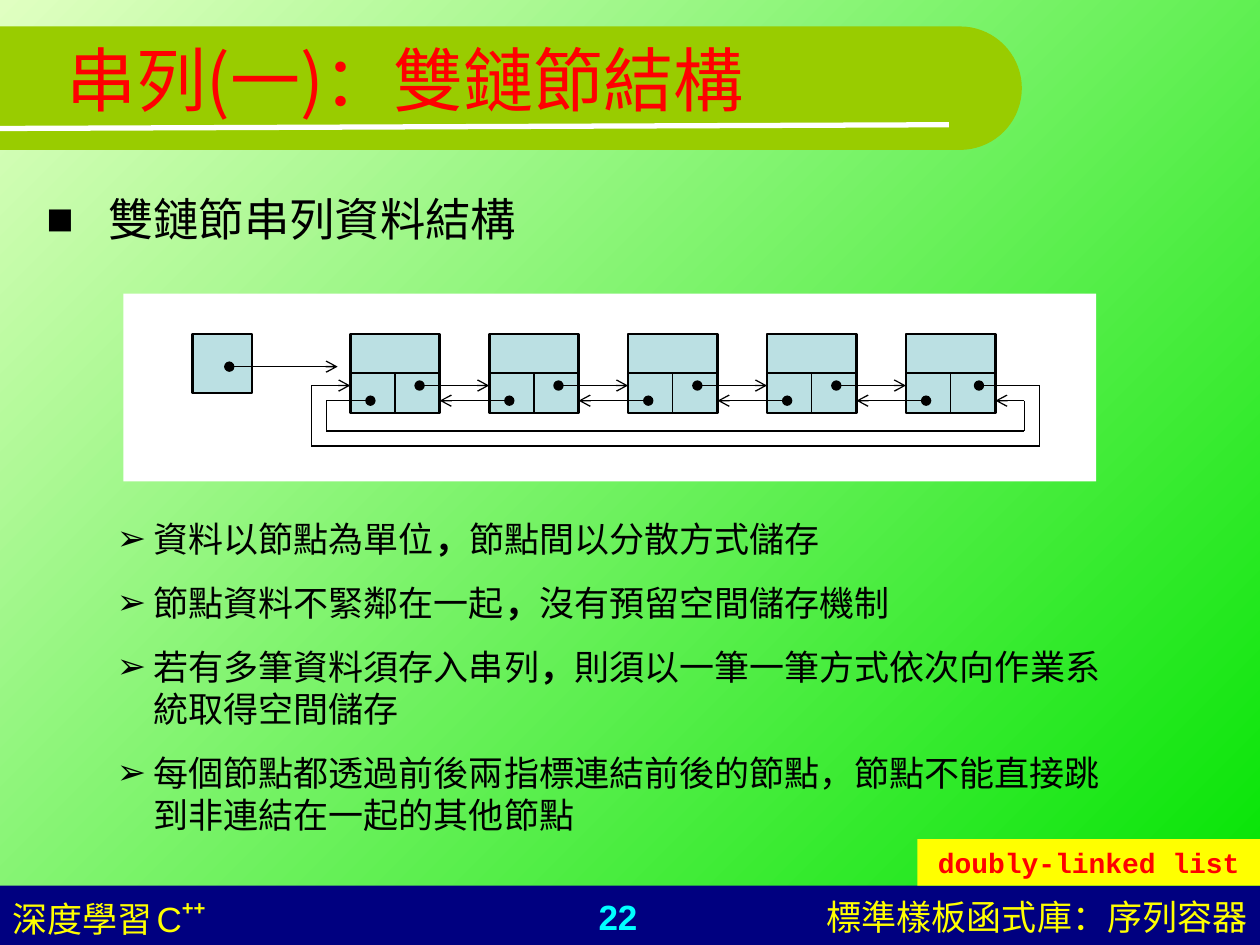
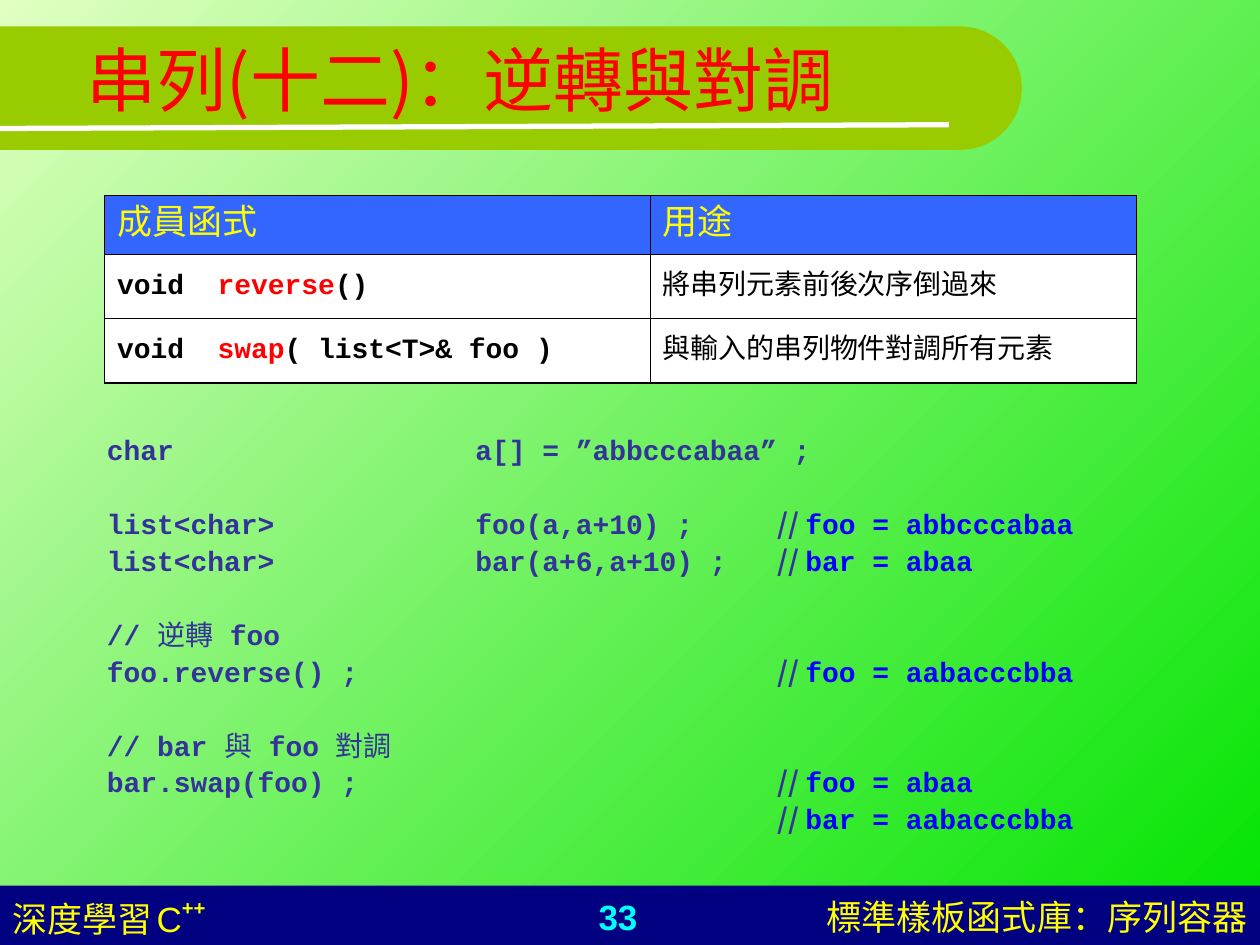
from dataclasses import dataclass
from itertools import pairwise
from math import cos, pi, sin

from lxml.etree import SubElement
from pptx import Presentation
from pptx.dml.color import RGBColor
from pptx.enum.shapes import MSO_CONNECTOR, MSO_SHAPE
from pptx.enum.text import MSO_ANCHOR, MSO_AUTO_SIZE, PP_ALIGN
from pptx.oxml.ns import qn
from pptx.util import Inches, Pt


@dataclass(frozen=True)
class Theme:
    # Colours
    sky_light: str = "E0FFC1"
    sky_dark: str = "00E400"
    band: str = "99CC00"
    footer: str = "000080"
    white: str = "FFFFFF"
    black: str = "000000"
    red: str = "FF0000"
    yellow: str = "FFFF00"
    cyan: str = "00FFFF"
    node: str = "BBE0E3"
    header: str = "3366FF"
    code: str = "333399"
    result: str = "0000FF"
    # Fonts
    sans: str = "Arial"
    mono: str = "Courier New"
    cjk: str = "Noto Sans CJK SC"
    cjk_tc: str = "Noto Sans CJK TC"
    # Type sizes
    title: float = 40
    heading: float = 25.9
    body: float = 20
    small: float = 16
    gap: float = 8


THEME = Theme()


@dataclass(frozen=True)
class Span:
    text: str
    color: str = THEME.black
    size: float = THEME.body
    font: str = THEME.mono
    bold: bool = False
    raised: int = 0


class SlideBuilder:
    def __init__(self, theme):
        self.theme = theme
        self.deck = Presentation()
        self.deck.slide_width, self.deck.slide_height = Inches(10), Inches(7.5)
        self.page = None
        fill = self.deck.slide_master.background.fill
        fill.gradient()
        fill.gradient_angle = 315
        for stop, color, position in zip(
                fill.gradient_stops, (theme.sky_light, theme.sky_dark), (0, 1)):
            stop.color.rgb = RGBColor.from_string(color)
            stop.position = position

    # Slide frame: title band, footer and title
    def new_page(self, number, title, left, width):
        theme = self.theme
        self.page = self.deck.slides.add_slide(self.deck.slide_layouts[5])
        self.rect((0, 7.03, 10, 0.47), theme.footer)
        self.title_band()
        self.line((0, 1.02), (7.53, 0.99), theme.white, 3)
        self.text((3.74, 7.06, 2.33, 0.44),
                  [[Span(number, theme.cyan, font=theme.sans, bold=True)]],
                  align=PP_ALIGN.CENTER)
        self.text((5.63, 7.06, 4.37, 0.44),
                  [[Span("標準樣板函式庫", theme.yellow, font=theme.sans),
                    Span("：", theme.yellow, font=theme.cjk_tc),
                    Span("序列容器", theme.yellow, font=theme.sans)]],
                  align=PP_ALIGN.RIGHT)
        self.text((0, 7.06, 2.33, 0.44),
                  [[Span("深度學習", theme.yellow, font=theme.sans),
                    Span(" ", theme.yellow, theme.gap, theme.sans),
                    Span("C", theme.yellow, font=theme.sans),
                    Span("++", theme.yellow, font=theme.sans, bold=True, raised=46)]])
        self.title(title, left, width)

    def title_band(self):
        center_x, center_y, radius, steps = 7.62, 0.7, 0.49, 36
        arc = [(center_x + radius * sin(pi * i / steps),
                center_y - radius * cos(pi * i / steps)) for i in range(steps + 1)]
        outline = arc + [(0, center_y + radius)]
        builder = self.page.shapes.build_freeform(
            Inches(0), Inches(center_y - radius))
        builder.add_line_segments([(Inches(x), Inches(y)) for x, y in outline])
        self.paint(builder.convert_to_shape(), self.theme.band)

    def title(self, parts, left, width):
        box = self.page.shapes.title
        self.page.shapes._spTree.append(box._element)  # in front of the band
        box.left, box.top = Inches(left), Inches(0)
        box.width, box.height = Inches(width), Inches(1.25)
        frame = box.text_frame
        frame.auto_size = MSO_AUTO_SIZE.NONE
        frame.vertical_anchor = MSO_ANCHOR.MIDDLE
        fonts = (self.theme.sans, self.theme.cjk, self.theme.sans)
        self.fill_para(frame.paragraphs[0],
                       [Span(part, self.theme.red, self.theme.title, font)
                        for part, font in zip(parts, fonts)])
        frame.paragraphs[0].alignment = PP_ALIGN.LEFT

    # Shapes and lines
    def paint(self, shape, fill, line=None):
        shape.shadow.inherit = False
        shape.fill.solid()
        shape.fill.fore_color.rgb = RGBColor.from_string(fill)
        if line:
            shape.line.color.rgb = RGBColor.from_string(line)
            shape.line.width = Pt(1.5)
        else:
            shape.line.fill.background()

    def rect(self, at, fill, line=None):
        shape = self.page.shapes.add_shape(MSO_SHAPE.RECTANGLE, *map(Inches, at))
        self.paint(shape, fill, line)
        return shape

    def line(self, start, end, color=THEME.black, width=0.75, head=None, tail=None):
        link = self.page.shapes.add_connector(
            MSO_CONNECTOR.STRAIGHT, *map(Inches, (*start, *end)))
        link.line.color.rgb = RGBColor.from_string(color)
        link.line.width = Pt(width)
        outline = link.line._get_or_add_ln()
        for tag, kind in (("a:headEnd", head), ("a:tailEnd", tail)):
            if kind:
                SubElement(outline, qn(tag), type=kind)
        SubElement(link._element.spPr, qn("a:effectLst"))

    def pointer(self, *points):
        """A dotted start, any number of corners and an arrow at the end."""
        legs = list(pairwise(points))
        for i, (start, end) in enumerate(legs):
            self.line(start, end, head="oval" if i == 0 else None,
                      tail="arrow" if i == len(legs) - 1 else None)

    # Text
    def fill_para(self, para, spans):
        for item in spans:
            span = para.add_run()
            span.text = item.text
            font = span.font
            font.name, font.size, font.bold = item.font, Pt(item.size), item.bold
            font.color.rgb = RGBColor.from_string(item.color)
            props = span._r.get_or_add_rPr()
            SubElement(props, qn("a:ea"), typeface=item.font)
            if item.raised:
                props.set("baseline", str(item.raised * 1000))

    def bullet(self, para, mark, indent):
        props = para._p.get_or_add_pPr()
        props.set("marL", str(Inches(indent)))
        props.set("indent", str(-Inches(indent)))
        color = SubElement(props, qn("a:buClr"))
        SubElement(color, qn("a:srgbClr"), val=self.theme.black)
        SubElement(props, qn("a:buFont"), typeface=self.theme.sans)
        SubElement(props, qn("a:buChar"), char=mark)

    def text(self, at, lines, align=PP_ALIGN.LEFT, mark=None, indent=0,
             before=0, spacing=None):
        box = self.page.shapes.add_textbox(*map(Inches, at))
        frame = box.text_frame
        frame.word_wrap = True
        for i, spans in enumerate(lines):
            para = frame.add_paragraph() if i else frame.paragraphs[0]
            if mark:
                self.bullet(para, mark, indent)
            para.alignment = align
            if i and before:
                para.space_before = Pt(before)
            if spacing:
                para.line_spacing = spacing
            self.fill_para(para, spans)
        return frame

    def label(self, at, span, fill):
        frame = self.rect(at, fill).text_frame
        frame.word_wrap = True
        self.fill_para(frame.paragraphs[0], [span])
        frame.paragraphs[0].alignment = PP_ALIGN.CENTER

    # Table
    def table(self, at, widths, heights, rows):
        table = self.page.shapes.add_table(
            len(rows), len(widths), *map(Inches, at)).table
        for column, width in zip(table.columns, widths):
            column.width = Inches(width)
        for r, (cells, height) in enumerate(zip(rows, heights)):
            table.rows[r].height = Inches(height)
            for c, spans in enumerate(cells):
                cell = table.cell(r, c)
                self.borders(cell)
                cell.fill.solid()
                cell.fill.fore_color.rgb = RGBColor.from_string(
                    self.theme.white if r else self.theme.header)
                cell.vertical_anchor = MSO_ANCHOR.MIDDLE
                self.fill_para(cell.text_frame.paragraphs[0], spans)

    def borders(self, cell):
        props = cell._tc.get_or_add_tcPr()
        for side in ("a:lnL", "a:lnR", "a:lnT", "a:lnB"):
            edge = SubElement(props, qn(side), w=str(Pt(0.75)))
            fill = SubElement(edge, qn("a:solidFill"))
            SubElement(fill, qn("a:srgbClr"), val=self.theme.black)


def draw_linked_list(slides):
    theme = slides.theme
    count, first, last, width = 5, 2.78, 7.19, 0.71
    top, middle, bottom = 2.65, 2.96, 3.28
    next_y, previous_y = 3.06, 3.18
    pitch = (last - first) / (count - 1)
    slides.rect((0.98, 2.33, 7.72, 1.49), theme.white)

    # Nodes, each with a data part and two pointer parts
    lefts = [first + pitch * i for i in range(count)]
    for left in lefts:
        slides.rect((left, top, width, bottom - top), theme.node, theme.black)
        slides.line((left, middle), (left + width, middle))
        slides.line((left + width / 2, middle), (left + width / 2, bottom))

    # Pointers between neighbours
    for left, following in pairwise(lefts):
        slides.pointer((left + 0.55, next_y), (following, next_y))
        slides.pointer((following + 0.16, previous_y), (left + width, previous_y))

    # Pointers that close the ring
    slides.pointer((last + 0.58, next_y), (8.25, next_y), (8.25, 3.54),
                   (2.47, 3.54), (2.47, next_y), (first, next_y))
    slides.pointer((first + 0.16, previous_y), (2.59, previous_y), (2.59, 3.42),
                   (8.13, 3.42), (8.13, previous_y), (last + width, previous_y))

    # Entry to the list
    slides.rect((1.53, top, 0.47, 0.47), theme.node, theme.black)
    slides.pointer((1.82, 2.91), (2.68, 2.91))


def structure_page(slides):
    theme = slides.theme
    slides.new_page("22", ("串列", "(一)", "：雙鏈節結構"), 0.43, 9)
    slides.text((0.27, 1.47, 9.03, 0.55),
                [[Span("雙鏈節串列資料結構", size=theme.heading)]],
                mark="■", indent=0.49)
    draw_linked_list(slides)
    comma = Span("，", bold=True)
    points = [
        [Span("資料以節點為單位"), comma, Span("節點間以分散方式儲存")],
        [Span("節點資料不緊鄰在一起"), comma, Span("沒有預留空間儲存機制")],
        [Span("若有多筆資料須存入串列"), comma,
         Span("則須以一筆一筆方式依次向作業系統取得空間儲存")],
        [Span("每個節點都透過前後兩指標連結前後的節點，"
              "節點不能直接跳到非連結在一起的其他節點")],
    ]
    slides.text((0.83, 4.06, 8.03, 2.62), points, mark="➢", indent=0.29, before=12.5)
    slides.label((7.28, 6.66, 2.72, 0.37),
                 Span("doubly-linked list", theme.red, theme.small, bold=True),
                 theme.yellow)


def reverse_swap_page(slides):
    theme = slides.theme
    slides.new_page("33", ("串列", "(十二)", "：逆轉與對調"), 0.59, 7.17)

    # Member functions
    def signature(name, arguments):
        return [Span("void  ", size=theme.small, bold=True),
                Span(name, theme.red, theme.small, bold=True),
                Span(arguments, size=theme.small, bold=True)]

    slides.table((0.83, 1.55, 8.19, 1.49), (4.33, 3.86), (0.47, 0.51, 0.51), [
        [[Span("成員函式", theme.yellow)], [Span("用途", theme.yellow)]],
        [signature("reverse", "()"),
         [Span("將串列元素前後次序倒過來", size=theme.small)]],
        [signature("swap", "( list<T>& foo )"),
         [Span("與輸入的串列物件對調所有元素", size=theme.small)]],
    ])

    # Code listing
    def code(text, bold=True):
        return Span(text, theme.code, theme.small, bold=bold)

    def shows(statement, result):
        return [code(statement),
                Span("// ", theme.code, theme.small, theme.cjk, True),
                Span(result, theme.result, theme.small, bold=True)]

    blank = [code("")]
    slides.text((0.75, 3.36, 8.82, 3.32), [
        [code("char                  a[] = ”abbcccabaa” ;")],
        blank,
        shows("list<char>            foo(a,a+10) ;     ", "foo = abbcccabaa"),
        shows("list<char>            bar(a+6,a+10) ;   ", "bar = abaa"),
        blank,
        [code("// "), code("逆轉 ", False), code("foo")],
        shows("foo.reverse() ;                         ", "foo = aabacccbba"),
        blank,
        [code("// bar "), code("與 ", False), code("foo "), code("對調", False)],
        shows("bar.swap(foo) ;                         ", "foo = abaa"),
        shows("                                        ", "bar = aabacccbba"),
    ], spacing=1.1)


def main():
    slides = SlideBuilder(THEME)
    structure_page(slides)
    reverse_swap_page(slides)
    slides.deck.save("out.pptx")


if __name__ == "__main__":
    main()
